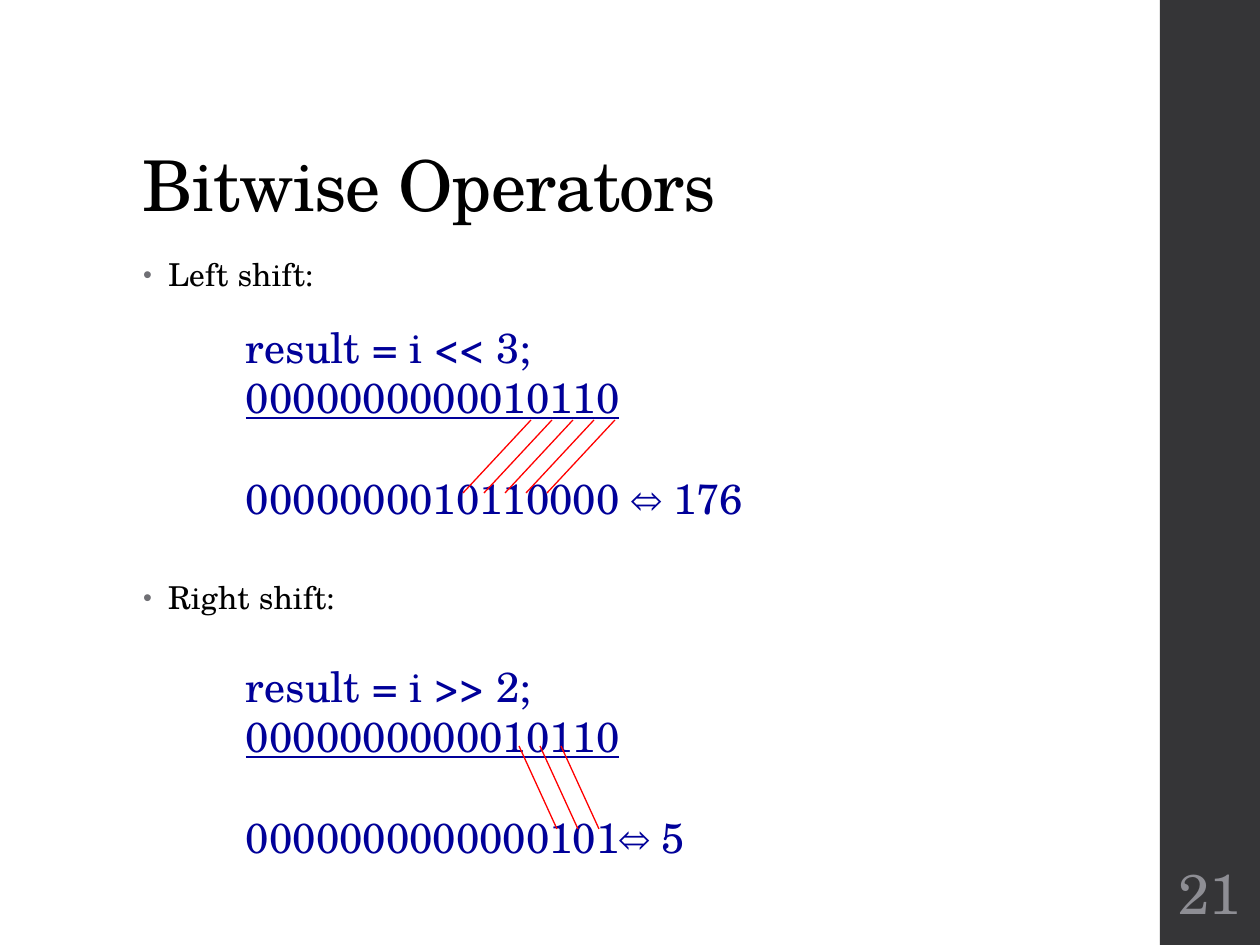
from lxml import etree
from pptx import Presentation
from pptx import util as u
from pptx.dml.color import RGBColor
from pptx.enum import shapes, text
from pptx.oxml.ns import qn

FONT = "TeX Gyre Schola"
BLACK = RGBColor(0x00, 0x00, 0x00)
STRIP = RGBColor(0x35, 0x35, 0x37)
NUMBER = RGBColor(0x8E, 0x8E, 0x94)
CODE = RGBColor(0x00, 0x00, 0x99)
RED = RGBColor(0xFF, 0x00, 0x00)
BULLET = "6F6F74"

TITLE = "Bitwise Operators"
PAGE = "21"
HEADINGS = [("Left shift:", 0), ("Right shift:", 162)]  # text, points before
SHIFTS = [  # box top, code lines, first moved bit (from, to), number of bits
    (315, ["result = i << 3;", "0000000000010110", "0000000010110000 ⇔ 176"],
     ((463, 493), (531, 420)), 5),
    (654, ["result = i >> 2;", "0000000000010110", "0000000000000101⇔ 5"],
     ((519, 746), (557, 829)), 3),
]
DIGIT = 21  # step from one bit to the next


def px(n):
    return u.Emu(round(n * 914400 / 126))


def place(sp, *box):
    sp.left, sp.top, sp.width, sp.height = map(px, box)


def style(p, size, color, spacing=0):
    for r in p.runs:
        r.font.name = FONT
        r.font.size = u.Pt(size)
        r.font.color.rgb = color
        if spacing:
            r._r.get_or_add_rPr().set("spc", str(spacing))


def add_box(slide, box, lines, side=13):
    tf = slide.shapes.add_textbox(*map(px, box)).text_frame
    tf.word_wrap = True
    tf.margin_left = tf.margin_right = px(side)
    tf.text = "\n".join(lines)
    return tf


def add_bullet(p):
    pPr = p._p.get_or_add_pPr()
    pPr.set("marL", str(px(25)))
    pPr.set("indent", str(-px(25)))
    color = etree.SubElement(pPr, qn("a:buClr"))
    etree.SubElement(color, qn("a:srgbClr"), val=BULLET)
    etree.SubElement(pPr, qn("a:buSzPct"), val="80000")
    etree.SubElement(pPr, qn("a:buFont"), typeface="Arial")
    etree.SubElement(pPr, qn("a:buChar"), char="•")


def add_headings(slide):
    tf = add_box(slide, (130, 252, 888, 600), [h for h, _ in HEADINGS])
    for p, (_, before) in zip(tf.paragraphs, HEADINGS):
        add_bullet(p)
        p.line_spacing = 0.95
        p.space_before, p.space_after = u.Pt(before), u.Pt(2)
        style(p, 18, BLACK, 10)


def add_code(slide, top, lines):
    tf = add_box(slide, (231, top, 546, 217), lines, 0)
    for p in tf.paragraphs:
        p._p.get_or_add_pPr().set("marL", str(px(15)))
        style(p, 24, CODE)
    _, bits, result = tf.paragraphs
    bits.runs[0].font.underline = True
    result.space_before = u.Pt(29)


def add_bit_lines(slide, start, end, count):
    for i in range(count):
        dx = i * DIGIT
        line = slide.shapes.add_connector(
            shapes.MSO_CONNECTOR.STRAIGHT, px(start[0] + dx), px(start[1]),
            px(end[0] + dx), px(end[1]))
        line.line.color.rgb = RED
        line.line.width = u.Pt(0.75)
        etree.SubElement(line._element.spPr, qn("a:effectLst"))


def main():
    prs = Presentation()
    prs.slide_width, prs.slide_height = px(1260), px(945)
    slide = prs.slides.add_slide(prs.slide_layouts[5])

    strip = slide.shapes.add_shape(shapes.MSO_SHAPE.RECTANGLE,
                                   *map(px, (1160, 0, 100, 945)))
    strip.shadow.inherit = False
    strip.fill.solid()
    strip.fill.fore_color.rgb = STRIP
    strip.line.fill.background()

    title = slide.shapes.title
    place(title, 130, 50, 1002, 183)
    tf = title.text_frame
    tf.text = TITLE
    tf.auto_size = text.MSO_AUTO_SIZE.NONE
    tf.vertical_anchor = text.MSO_ANCHOR.BOTTOM
    p = tf.paragraphs[0]
    p.alignment = text.PP_ALIGN.LEFT
    p.line_spacing = 0.9
    style(p, 40, BLACK, -50)

    add_headings(slide)

    tf = add_box(slide, (1163, 851, 94, 82), [PAGE], 4)
    tf.vertical_anchor = text.MSO_ANCHOR.MIDDLE
    tf.paragraphs[0].alignment = text.PP_ALIGN.CENTER
    style(tf.paragraphs[0], 32, NUMBER)

    for top, lines, (start, end), count in SHIFTS:
        add_code(slide, top, lines)
        add_bit_lines(slide, start, end, count)

    prs.save("out.pptx")


if __name__ == "__main__":
    main()
